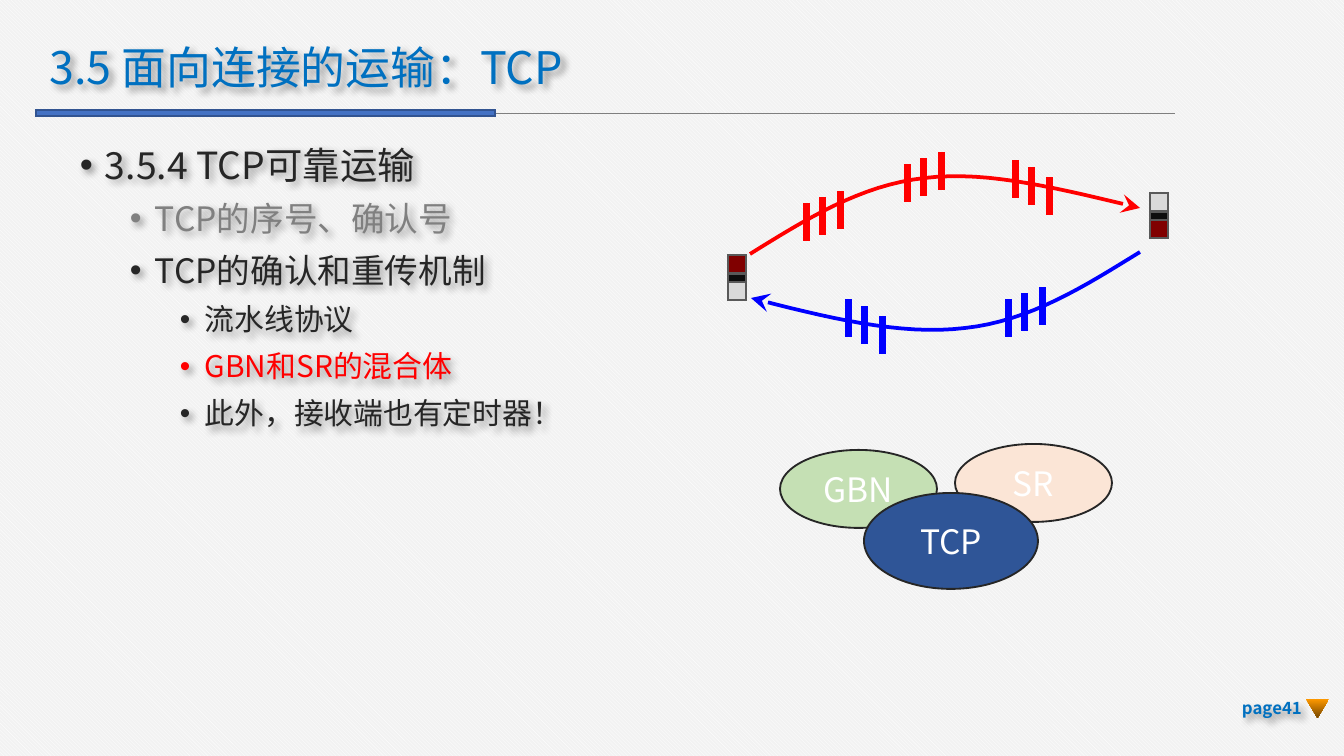
import dataclasses
from typing import Optional

import lxml.etree
import pptx
import pptx.dml.color
import pptx.enum.dml
import pptx.enum.shapes
import pptx.enum.text
import pptx.oxml
import pptx.oxml.ns
import pptx.util

EMU_PER_PX = 914400 / 134.4
FONT = "Noto Sans CJK SC"
COLORS = {
    "paper": "F2F2F2", "white": "FFFFFF", "title": "0070C0", "accent": "4472C4",
    "accent_edge": "325491", "rule": "7F7F7F", "ink": "262626", "muted": "808080",
    "red": "FF0000", "blue": "0000FF", "maroon": "800000", "black": "0D0D0D",
    "grey": "D9D9D9", "host_edge": "595959", "green": "C5E0B4", "peach": "FBE5D6",
    "navy": "2F5597", "orange": "FF9900", "brown": "764700",
}
SHAPES = pptx.enum.shapes.MSO_SHAPE
ALIGN = pptx.enum.text.PP_ALIGN
MIDDLE = pptx.enum.text.MSO_ANCHOR.MIDDLE
Point = tuple[int, int]


@dataclasses.dataclass(frozen=True)
class Box:
    left: int
    top: int
    width: int
    height: int


@dataclasses.dataclass(frozen=True)
class Bullet:
    text: str
    level: int
    color: str = "ink"


@dataclasses.dataclass(frozen=True)
class Protocol:
    name: str
    box: Box
    fill: str


@dataclasses.dataclass(frozen=True)
class Host:
    left: int
    top: int
    colors: tuple[str, str, str]


@dataclasses.dataclass(frozen=True)
class Flow:
    color: str
    start: Point
    curves: tuple[tuple[Point, Point, Point], ...]


@dataclasses.dataclass(frozen=True)
class Burst:
    left: int
    top: int
    rising: bool
    color: str


BULLETS = [
    Bullet("3.5.4 TCP可靠运输", 0),
    Bullet("TCP的序号、确认号", 1, "muted"),
    Bullet("TCP的确认和重传机制", 1),
    Bullet("流水线协议", 2),
    Bullet("GBN和SR的混合体", 2, "red"),
    Bullet("此外，接收端也有定时器！", 2),
]
HOSTS = [
    Host(728, 255, ("maroon", "black", "grey")),
    Host(1150, 193, ("grey", "black", "maroon")),
]
FLOWS = [
    Flow("red", (750, 254), (((805, 220), (860, 185), (925, 178)),
                             ((989, 170), (1064, 190), (1140, 208)))),
    Flow("blue", (1140, 252), (((1085, 286), (1030, 321), (965, 328)),
                               ((900, 336), (825, 317), (751, 298)))),
]
BURSTS = [
    Burst(905, 153, True, "red"),
    Burst(804, 192, True, "red"),
    Burst(1013, 161, False, "red"),
    Burst(1006, 288, True, "blue"),
    Burst(846, 300, False, "blue"),
]
PROTOCOLS = [
    Protocol("GBN", Box(780, 450, 157, 78), "green"),
    Protocol("SR", Box(955, 444, 157, 78), "peach"),
    Protocol("TCP", Box(864, 493, 174, 96), "navy"),
]


def px(length: float) -> pptx.util.Emu:
    return pptx.util.Emu(round(length * EMU_PER_PX))


def rgb(name: str) -> pptx.dml.color.RGBColor:
    return pptx.dml.color.RGBColor.from_string(COLORS[name])


def place(shape, box: Box) -> None:
    shape.left, shape.top = px(box.left), px(box.top)
    shape.width, shape.height = px(box.width), px(box.height)


def add_run(paragraph, text: str, size: int, color: str, bold: bool = False) -> None:
    run = paragraph.add_run()
    run.text = text
    run.font.size = pptx.util.Pt(size)
    run.font.bold = bold
    run.font.color.rgb = rgb(color)
    run.font.name = FONT
    east_asian = lxml.etree.SubElement(run.font._element, pptx.oxml.ns.qn("a:ea"))
    east_asian.set("typeface", FONT)


def add_soft_shadow(shape) -> None:
    shape._element.spPr.append(pptx.oxml.parse_xml(
        f'<a:effectLst {pptx.oxml.ns.nsdecls("a")}>'
        '<a:outerShdw blurRad="50800" dist="38100" dir="2700000" algn="tl" rotWithShape="0">'
        '<a:srgbClr val="000000"><a:alpha val="40000"/></a:srgbClr>'
        '</a:outerShdw></a:effectLst>'))


def add_block(slide, kind, box: Box, fill: str, edge: Optional[str] = None):
    block = slide.shapes.add_shape(kind, px(box.left), px(box.top), px(box.width), px(box.height))
    block.shadow.inherit = False
    block.fill.solid()
    block.fill.fore_color.rgb = rgb(fill)
    if edge:
        block.line.color.rgb = rgb(edge)
        block.line.width = pptx.util.Pt(1)
        miter = lxml.etree.SubElement(block.line._get_or_add_ln(), pptx.oxml.ns.qn("a:miter"))
        miter.set("lim", "800000")
    else:
        block.line.fill.background()
    return block


def add_header(slide) -> None:
    rule = slide.shapes.add_connector(
        pptx.enum.shapes.MSO_CONNECTOR.STRAIGHT, px(1175), px(113.5), px(36), px(113.5))
    rule.line.color.rgb = rgb("rule")
    rule.line.width = pptx.util.Pt(0.5)
    lxml.etree.SubElement(rule._element.spPr, pptx.oxml.ns.qn("a:effectLst"))
    add_block(slide, SHAPES.RECTANGLE, Box(36, 110, 459, 6), "accent", "accent_edge")
    title = slide.shapes.title
    place(title, Box(36, 40, 583, 59))
    frame = title.text_frame
    frame.auto_size = pptx.enum.text.MSO_AUTO_SIZE.NONE
    frame.vertical_anchor = MIDDLE
    frame.paragraphs[0].alignment = ALIGN.LEFT
    frame.paragraphs[0].line_spacing = 0.9
    add_run(frame.paragraphs[0], "3.5 面向连接的运输：TCP", 24, "title")
    add_soft_shadow(title)


def add_outline(slide) -> None:
    outline = slide.shapes.add_textbox(px(70), px(137), px(825), px(555))
    frame = outline.text_frame
    frame.word_wrap = True
    frame.margin_left = frame.margin_right = px(10)
    frame.margin_top = frame.margin_bottom = px(5)
    for index, bullet in enumerate(BULLETS):
        paragraph = frame.paragraphs[0] if index == 0 else frame.add_paragraph()
        paragraph.level = bullet.level
        paragraph.line_spacing = 1.0
        paragraph.space_before = pptx.util.Pt(6 if index else 0)
        properties = paragraph._p.get_or_add_pPr()
        properties.set("marL", str(px(25 + 50 * bullet.level)))
        properties.set("indent", str(px(-25)))
        for tag, attribute, value in (("a:buFont", "typeface", "Arial"), ("a:buChar", "char", "•")):
            lxml.etree.SubElement(properties, pptx.oxml.ns.qn(tag)).set(attribute, value)
        add_run(paragraph, bullet.text, 20 - 2 * bullet.level, bullet.color)
    add_soft_shadow(outline)


def add_page_mark(slide) -> None:
    page = slide.shapes.add_textbox(px(1222), px(688), px(93), px(40))
    page.text_frame.word_wrap = True
    page.text_frame.vertical_anchor = MIDDLE
    page.text_frame.paragraphs[0].alignment = ALIGN.RIGHT
    add_run(page.text_frame.paragraphs[0], "page41", 9, "title", bold=True)
    add_soft_shadow(page)
    marker = add_block(slide, SHAPES.FLOWCHART_MERGE, Box(1306, 699, 23, 19), "orange")
    marker.fill.gradient()
    marker.fill.gradient_angle = 270
    for stop, color in zip(marker.fill.gradient_stops, ("orange", "brown")):
        stop.color.rgb = rgb(color)


def add_host(slide, host: Host) -> None:
    for color, offset, height in zip(host.colors, (0, 19, 27), (18, 8, 18)):
        add_block(slide, SHAPES.RECTANGLE, Box(host.left, host.top + offset, 18, height),
                  color, "host_edge")


def add_flow(slide, flow: Flow, steps: int = 16) -> None:
    points, start = [], flow.start
    for first, second, end in flow.curves:
        for t in (step / steps for step in range(1, steps + 1)):
            weights = ((1 - t) ** 3, 3 * t * (1 - t) ** 2, 3 * t ** 2 * (1 - t), t ** 3)
            corners = zip(start, first, second, end)
            points.append(tuple(px(sum(w * c for w, c in zip(weights, axis))) for axis in corners))
        start = end
    builder = slide.shapes.build_freeform(px(flow.start[0]), px(flow.start[1]))
    builder.add_line_segments(points, close=False)
    arrow = builder.convert_to_shape()
    arrow.shadow.inherit = False
    arrow.fill.background()
    arrow.line.color.rgb = rgb(flow.color)
    arrow.line.width = pptx.util.Pt(2)
    line = arrow.line._get_or_add_ln()
    lxml.etree.SubElement(line, pptx.oxml.ns.qn("a:round"))
    head = lxml.etree.SubElement(line, pptx.oxml.ns.qn("a:tailEnd"))
    for attribute, value in (("type", "stealth"), ("w", "lg"), ("len", "lg")):
        head.set(attribute, value)


def add_burst(slide, burst: Burst) -> None:
    drops = (12, 6, 0) if burst.rising else (0, 7, 17)
    for shift, drop in zip((0, 16, 34), drops):
        add_block(slide, SHAPES.RECTANGLE, Box(burst.left + shift, burst.top + drop, 5, 36),
                  burst.color, burst.color)


def add_protocol(slide, protocol: Protocol) -> None:
    oval = add_block(slide, SHAPES.OVAL, protocol.box, protocol.fill, "ink")
    oval.text_frame.vertical_anchor = MIDDLE
    oval.text_frame.paragraphs[0].alignment = ALIGN.CENTER
    add_run(oval.text_frame.paragraphs[0], protocol.name, 18, "white")


def main() -> None:
    deck = pptx.Presentation()
    deck.slide_width, deck.slide_height = px(1344), px(756)
    slide = deck.slides.add_slide(deck.slide_layouts.get_by_name("Title Only"))
    paper = slide.background.fill
    paper.patterned()
    paper.pattern = pptx.enum.dml.MSO_PATTERN.DARK_DOWNWARD_DIAGONAL
    paper.fore_color.rgb = rgb("white")
    paper.back_color.rgb = rgb("paper")
    add_header(slide)
    add_outline(slide)
    add_page_mark(slide)
    for draw, parts in ((add_host, HOSTS), (add_flow, FLOWS),
                        (add_burst, BURSTS), (add_protocol, PROTOCOLS)):
        for part in parts:
            draw(slide, part)
    deck.save("out.pptx")


if __name__ == "__main__":
    main()
